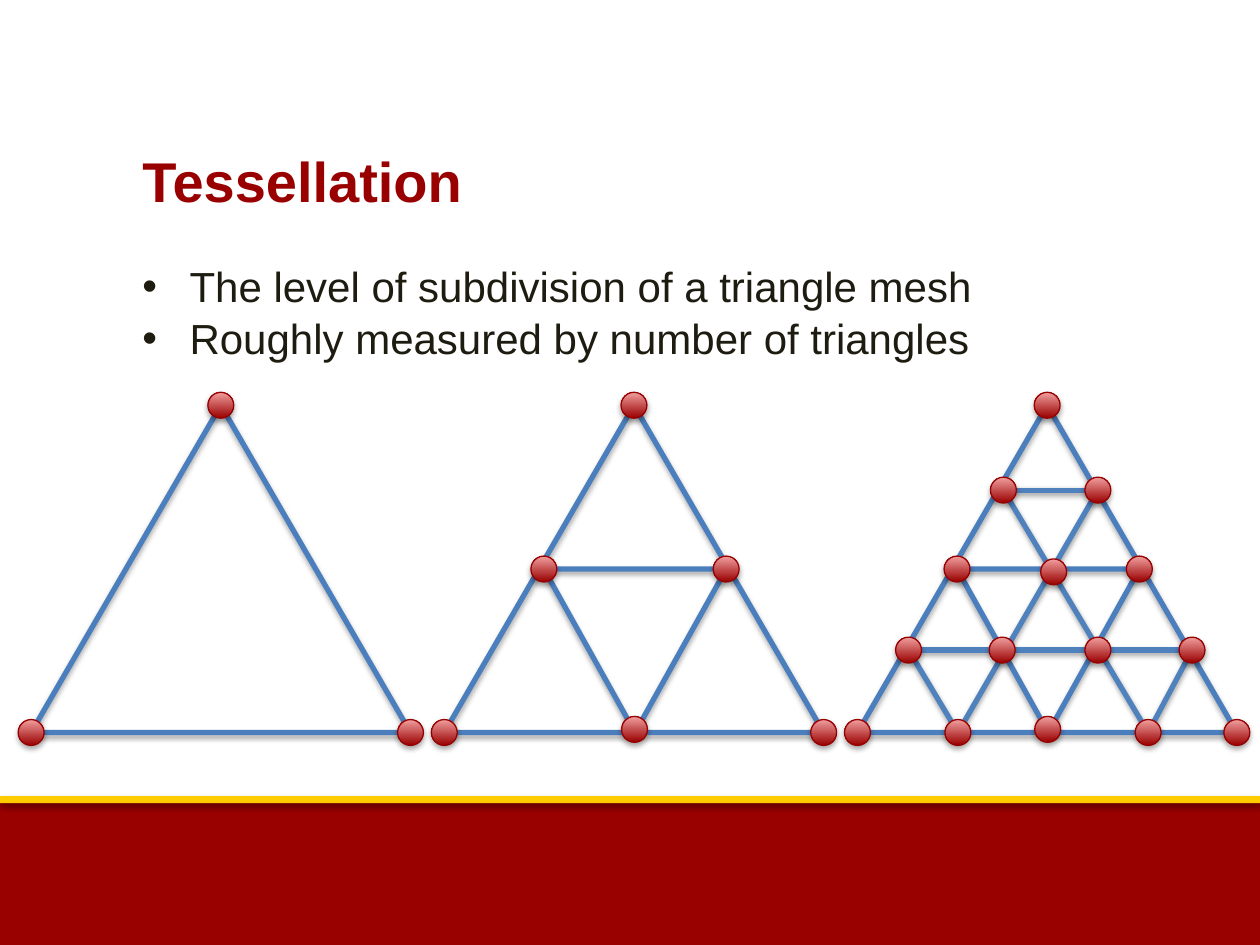
from dataclasses import dataclass
from typing import NamedTuple

from lxml.etree import SubElement
from pptx import Presentation
from pptx.dml.color import RGBColor
from pptx.enum.shapes import MSO_CONNECTOR, MSO_SHAPE
from pptx.enum.text import MSO_ANCHOR, MSO_AUTO_SIZE, PP_ALIGN
from pptx.oxml.ns import qn
from pptx.util import Pt


@dataclass(frozen=True)
class Theme:
    """Colours and type sizes of the slide."""
    red: RGBColor = RGBColor(0x99, 0x00, 0x00)
    pink: RGBColor = RGBColor(0xF1, 0x9F, 0x9F)
    rim: RGBColor = RGBColor(0x96, 0x00, 0x00)
    gold: RGBColor = RGBColor(0xFF, 0xCC, 0x00)
    outline: RGBColor = RGBColor(0x4B, 0x7E, 0xBC)
    edge: RGBColor = RGBColor(0x4F, 0x81, 0xBD)
    ink: RGBColor = RGBColor(0x1E, 0x1C, 0x11)
    font: str = "Arial"
    title: int = 32
    body: int = 24


class Point(NamedTuple):
    """A place given as an offset from the apex of a mesh."""
    x: float
    y: float


class Edge(NamedTuple):
    """A straight edge between two points."""
    start: Point
    end: Point


@dataclass(frozen=True)
class Mesh:
    """A triangle with its subdivision."""
    split: bool = False
    edges: tuple[Edge, ...] = ()
    nodes: tuple[Point, ...] = ()


THEME = Theme()
APEX_X, APEX_Y, PITCH = 126.2, 231.6, 236.1
WIDTH, HEIGHT = 216.8, 187
NODE = 14.8
CORNERS = (Point(0, 0), Point(-WIDTH / 2, HEIGHT), Point(WIDTH / 2, HEIGHT))
MIDPOINTS = (Point(-51.5, 93.6), Point(52.7, 93.6), Point(0.3, 185.2))

UPPER = (Point(-25, 48.5), Point(29, 48.5))
LOWER = tuple(Point(x, 139.9) for x in (-79.2, -25.7, 29, 82.8))
BASE = (Point(-51, HEIGHT), Point(57.7, HEIGHT))
CENTRE = Point(3.7, 95.2)

MESHES = (
    Mesh(),
    Mesh(split=True, nodes=MIDPOINTS),
    Mesh(
        split=True,
        edges=(
            Edge(UPPER[1], BASE[0]),
            Edge(UPPER[0], BASE[1]),
            Edge(LOWER[0], LOWER[3]),
            Edge(UPPER[0], UPPER[1]),
            Edge(LOWER[0], BASE[0]),
            Edge(LOWER[3], BASE[1]),
        ),
        nodes=(*MIDPOINTS, *LOWER, *BASE, *UPPER, CENTRE),
    ),
)


def add_shadow(shape, alpha: int = 35, dist: float = 1.8) -> None:
    """Give a shape a soft shadow straight below it."""
    effects = SubElement(shape._element.spPr, qn("a:effectLst"))
    shadow = SubElement(effects, qn("a:outerShdw"), blurRad=str(Pt(3.15)),
                        dist=str(Pt(dist)), dir="5400000", rotWithShape="0")
    color = SubElement(shadow, qn("a:srgbClr"), val="000000")
    SubElement(color, qn("a:alpha"), val=str(alpha * 1000))


def add_band(s, top: float, height: float, color: RGBColor) -> None:
    """Draw a full-width band."""
    sp = s.shapes.add_shape(MSO_SHAPE.RECTANGLE, 0, Pt(top), Pt(720), Pt(height))
    sp.fill.solid()
    sp.fill.fore_color.rgb = color
    sp.line.fill.background()
    add_shadow(sp)


def add_triangle(s, left: float, top: float, width: float, height: float,
                 rotation: int = 0) -> None:
    """Draw an unfilled triangle."""
    sp = s.shapes.add_shape(MSO_SHAPE.ISOSCELES_TRIANGLE,
                            Pt(left), Pt(top), Pt(width), Pt(height))
    sp.rotation = rotation
    sp.fill.background()
    sp.line.color.rgb = THEME.outline
    sp.line.width = Pt(3)
    add_shadow(sp)


def add_edge(s, apex_x: float, edge: Edge) -> None:
    """Draw one inner edge of a mesh."""
    (x1, y1), (x2, y2) = edge
    sp = s.shapes.add_connector(MSO_CONNECTOR.STRAIGHT,
                                Pt(apex_x + x1), Pt(APEX_Y + y1),
                                Pt(apex_x + x2), Pt(APEX_Y + y2))
    sp.line.color.rgb = THEME.edge
    sp.line.width = Pt(3)
    add_shadow(sp, 38, 1.6)


def add_node(s, apex_x: float, node: Point) -> None:
    """Draw a vertex centred on its point."""
    sp = s.shapes.add_shape(MSO_SHAPE.OVAL, Pt(apex_x + node.x - NODE / 2),
                            Pt(APEX_Y + node.y - NODE / 2), Pt(NODE), Pt(NODE))
    sp.fill.gradient()
    sp.fill.gradient_angle = 90
    for stop, color in zip(sp.fill.gradient_stops, (THEME.red, THEME.pink)):
        stop.color.rgb = color
    sp.line.color.rgb = THEME.rim
    sp.line.width = Pt(0.75)
    add_shadow(sp)


def add_mesh(s, apex_x: float, mesh: Mesh) -> None:
    """Draw a mesh: outline, subdivision, edges, then vertices."""
    add_triangle(s, apex_x - WIDTH / 2, APEX_Y, WIDTH, HEIGHT)
    if mesh.split:
        left, right, _ = MIDPOINTS
        add_triangle(s, apex_x + left.x, APEX_Y + left.y,
                     right.x - left.x, HEIGHT - left.y, 180)
    for edge in mesh.edges:
        add_edge(s, apex_x, edge)
    for node in (*CORNERS, *mesh.nodes):
        add_node(s, apex_x, node)


def set_title(s, text: str) -> None:
    """Place and format the title."""
    sp = s.shapes.title
    sp.left, sp.top, sp.width, sp.height = Pt(74.2), Pt(80), Pt(582.5), Pt(44)
    tf = sp.text_frame
    tf.text = text
    tf.auto_size = MSO_AUTO_SIZE.NONE
    tf.vertical_anchor = MSO_ANCHOR.TOP
    p = tf.paragraphs[0]
    p.alignment = PP_ALIGN.LEFT
    p.font.name, p.font.size, p.font.bold = THEME.font, Pt(THEME.title), True
    p.font.color.rgb = THEME.red


def add_bullets(s, lines: tuple[str, ...]) -> None:
    """Write the bulleted lines."""
    sp = s.shapes.add_textbox(Pt(74.2), Pt(145.5), Pt(582.5), Pt(65))
    tf = sp.text_frame
    tf.word_wrap = True
    tf.text = "\n".join(lines)
    for p in tf.paragraphs:
        p.space_before = Pt(1)
        p.font.name, p.font.size = THEME.font, Pt(THEME.body)
        p.font.color.rgb = THEME.ink
        pPr = p._p.get_or_add_pPr()
        pPr.set("marL", str(Pt(27)))
        pPr.set("indent", str(Pt(-27)))
        bullet_font = pPr.makeelement(qn("a:buFont"), {"typeface": THEME.font})
        bullet = pPr.makeelement(qn("a:buChar"), {"char": "•"})
        pPr.find(qn("a:defRPr")).addprevious(bullet_font)
        bullet_font.addnext(bullet)


def main() -> None:
    """Build and save the slide."""
    prs = Presentation()
    prs.slide_width, prs.slide_height = Pt(720), Pt(540)
    s = prs.slides.add_slide(prs.slide_layouts[5])
    add_band(s, 457.2, 82.8, THEME.red)
    add_band(s, 455, 4, THEME.gold)
    set_title(s, "Tessellation")
    add_bullets(s, ("The level of subdivision of a triangle mesh",
                    "Roughly measured by number of triangles"))
    for i, mesh in enumerate(MESHES):
        add_mesh(s, APEX_X + i * PITCH, mesh)
    prs.save("out.pptx")


main()
